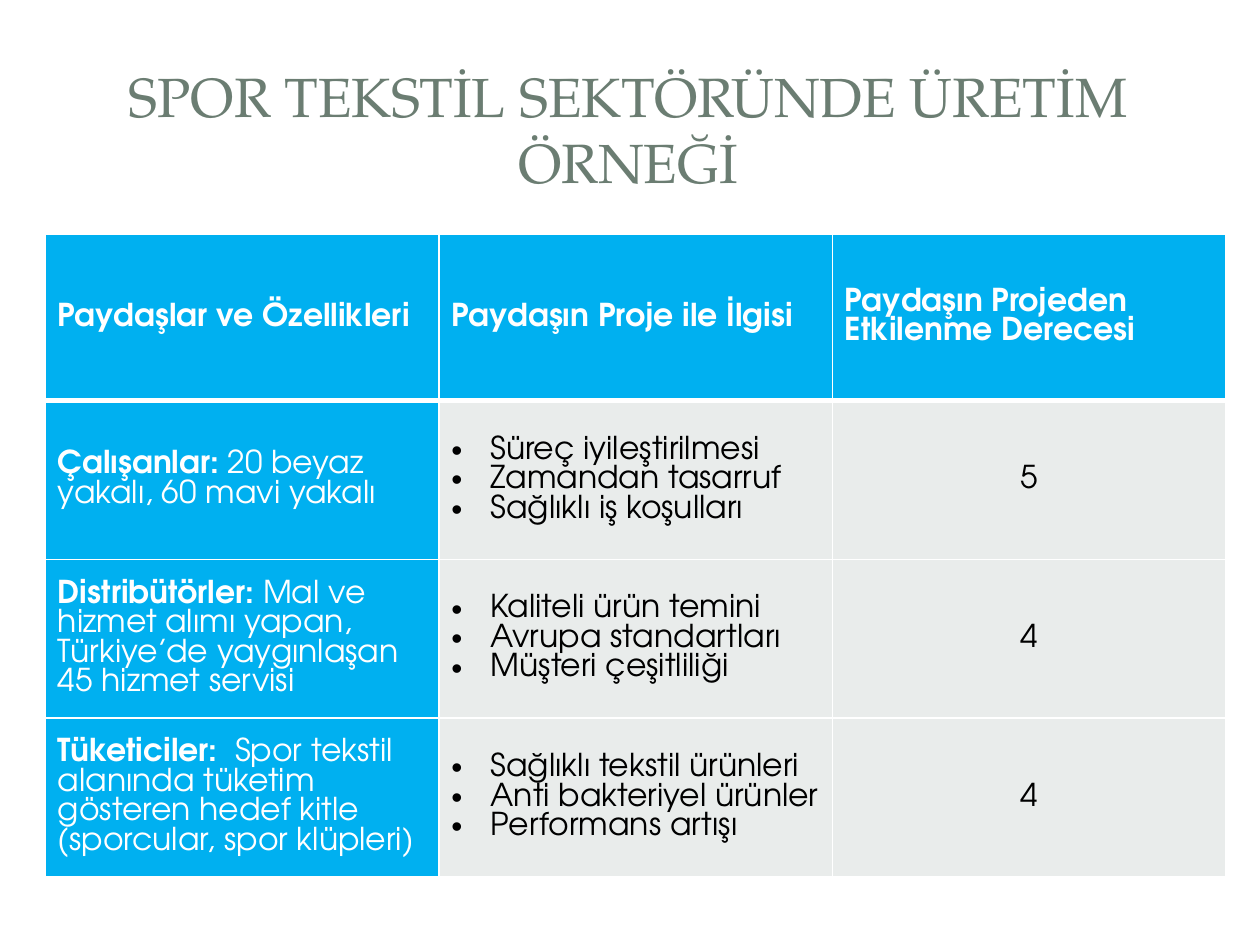
from lxml import etree
from pptx import Presentation
from pptx.dml.color import RGBColor
from pptx.enum import shapes, text
from pptx.oxml import ns
from pptx.util import Inches, Pt

WHITE = RGBColor(0xFF, 0xFF, 0xFF)
BLACK = RGBColor(0, 0, 0)
BLUE = RGBColor(0x00, 0xB0, 0xF0)
GRAY = RGBColor(0xE9, 0xEC, 0xEB)
SAGE = RGBColor(0x6B, 0x7D, 0x72)

TITLE = "SPOR TEKSTİL SEKTÖRÜNDE ÜRETİM ÖRNEĞİ"
HEADERS = ["Paydaşlar ve Özellikleri", "Paydaşın Proje ile İlgisi",
           "Paydaşın Projeden Etkilenme Derecesi"]
STAKEHOLDERS = [
    ("Çalışanlar: ", "20 beyaz yakalı, 60 mavi yakalı",
     ["Süreç iyileştirilmesi", "Zamandan tasarruf", "Sağlıklı iş koşulları"], "5"),
    ("Distribütörler: ", "Mal ve hizmet alımı yapan, Türkiye’de yaygınlaşan 45 hizmet servisi",
     ["Kaliteli ürün temini", "Avrupa standartları", "Müşteri çeşitliliği"], "4"),
    ("Tüketiciler:  ", "Spor tekstil alanında tüketim gösteren hedef kitle (sporcular, spor klüpleri)",
     ["Sağlıklı tekstil ürünleri", "Anti bakteriyel ürünler", "Performans artışı"], "4"),
]
PANELS = [
    (shapes.MSO_SHAPE.ROUNDED_RECTANGLE, (0.1, 0.11, 9.8, 7.29), 100),
    (shapes.MSO_SHAPE.RECTANGLE, (0.3, 0.3, 9.4, 1.45), 83),
    (shapes.MSO_SHAPE.RECTANGLE, (0.41, 0.41, 9.17, 1.22), 100),
]
PANEL_ROUNDING = 0.02
HEADER_HEIGHT, ROW_HEIGHT = 1.32, 1.26
TABLE_LEFT, TABLE_TOP, TABLE_WIDTH = 0.36, 1.86, 9.37

TITLE_FONT = {"name": "TeX Gyre Pagella", "size": Pt(31.5), "bold": False}
TABLE_FONT = {"name": "TeX Gyre Adventor", "size": Pt(18)}
CENTER = {"alignment": text.PP_ALIGN.CENTER}
TABLE_PARA = {"line_spacing": Pt(16.8)}


def apply(target, values):
    for name, value in values.items():
        setattr(target, name, value)


def add_span(para, words, font, color):
    span = para.add_run()
    span.text = words
    apply(span.font, font)
    span.font.color.rgb = color


def add_bullet(para):
    props = para._p.get_or_add_pPr()
    props.set("marL", str(Inches(0.31)))
    props.set("indent", str(-Inches(0.31)))
    etree.SubElement(props, ns.qn("a:buFont"), typeface="Arial")
    etree.SubElement(props, ns.qn("a:buChar"), char="•")


def set_borders(cell, widths):
    props = cell._tc.get_or_add_tcPr()
    for index, (side, width) in enumerate(widths.items()):
        line = etree.Element(ns.qn("a:ln" + side), w=str(Pt(width)))
        fill = etree.SubElement(line, ns.qn("a:solidFill"))
        etree.SubElement(fill, ns.qn("a:srgbClr"), val=str(WHITE))
        props.insert(index, line)


def fill_cell(cell, paras, color, fill, para_format, bulleted, widths):
    cell.vertical_anchor = text.MSO_ANCHOR.MIDDLE
    cell.fill.solid()
    cell.fill.fore_color.rgb = fill
    set_borders(cell, widths)
    for index, spans in enumerate(paras):
        para = cell.text_frame.paragraphs[0] if index == 0 else cell.text_frame.add_paragraph()
        apply(para, {**TABLE_PARA, **para_format})
        if bulleted:
            add_bullet(para)
        for words, bold in spans:
            add_span(para, words, {**TABLE_FONT, "bold": bold}, color)


def add_panels(page):
    for kind, bounds, opacity in PANELS:
        panel = page.shapes.add_shape(kind, *map(Inches, bounds))
        panel.shadow.inherit = False
        panel.line.fill.background()
        panel.fill.solid()
        panel.fill.fore_color.rgb = WHITE
        if len(panel.adjustments):
            panel.adjustments[0] = PANEL_ROUNDING
        if opacity < 100:
            color = panel._element.spPr.find(ns.qn("a:solidFill"))[0]
            etree.SubElement(color, ns.qn("a:alpha"), val=str(opacity * 1000))


def add_title(page):
    box = page.shapes.add_textbox(Inches(0.47), Inches(0.45), Inches(9.03), Inches(1.14))
    apply(box.text_frame, {"word_wrap": True, "vertical_anchor": text.MSO_ANCHOR.MIDDLE})
    para = box.text_frame.paragraphs[0]
    apply(para, CENTER)
    add_span(para, TITLE, TITLE_FONT, SAGE)


def add_stakeholder_table(page):
    height = HEADER_HEIGHT + ROW_HEIGHT * len(STAKEHOLDERS)
    table = page.shapes.add_table(
        len(STAKEHOLDERS) + 1, len(HEADERS), Inches(TABLE_LEFT), Inches(TABLE_TOP),
        Inches(TABLE_WIDTH), Inches(height)).table
    for column in table.columns:
        column.width = Inches(TABLE_WIDTH / len(HEADERS))
    for index, row in enumerate(table.rows):
        row.height = Inches(ROW_HEIGHT if index else HEADER_HEIGHT)

    thin = {"L": 1, "R": 1, "T": 1, "B": 1}
    for column, words in enumerate(HEADERS):
        fill_cell(table.cell(0, column), [[(words, True)]], WHITE, BLUE, {}, False, {**thin, "B": 3})
    for row, (name, detail, interests, degree) in enumerate(STAKEHOLDERS, 1):
        widths = {**thin, "T": 3} if row == 1 else thin
        cells = [
            ([[(name, True), (detail, False)]], WHITE, BLUE, {}, False),
            ([[(words, False)] for words in interests], BLACK, GRAY, {}, True),
            ([[(degree, False)]], BLACK, GRAY, CENTER, False),
        ]
        for column, content in enumerate(cells):
            fill_cell(table.cell(row, column), *content, widths)


def main():
    deck = Presentation()
    apply(deck, {"slide_width": Inches(10), "slide_height": Inches(7.5)})
    page = deck.slides.add_slide(deck.slide_layouts[6])
    add_panels(page)
    add_title(page)
    add_stakeholder_table(page)
    deck.save("out.pptx")


if __name__ == "__main__":
    main()
